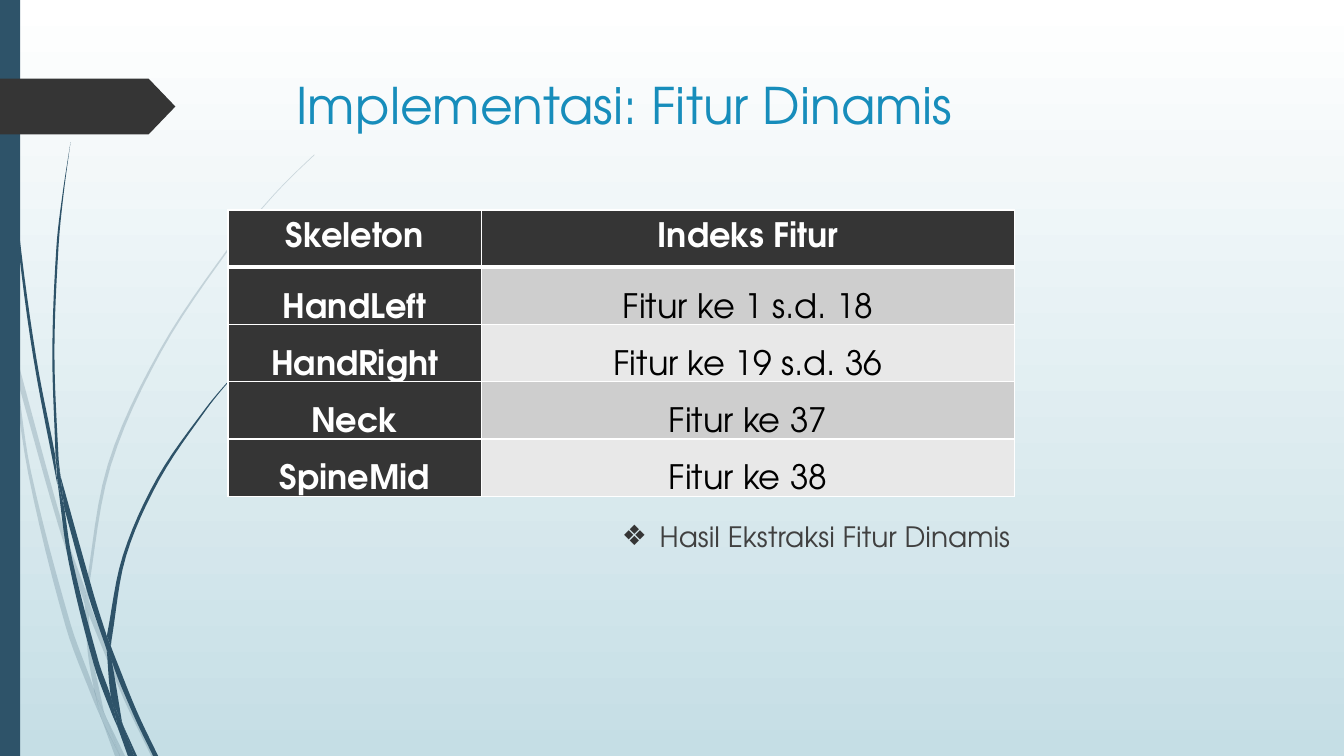
from dataclasses import dataclass
from math import dist

from lxml.etree import SubElement
from pptx import Presentation
from pptx.dml.color import RGBColor
from pptx.enum.shapes import MSO_SHAPE as Preset
from pptx.enum.text import MSO_ANCHOR as Anchor, MSO_AUTO_SIZE as AutoSize, PP_ALIGN as Align
from pptx.oxml.ns import qn
from pptx.util import Pt

FONT = "TeX Gyre Adventor"
WHITE = RGBColor(0xFF, 0xFF, 0xFF)
BLACK = RGBColor(0x00, 0x00, 0x00)
MIST = RGBColor(0xC5, 0xDE, 0xE5)
NAVY = RGBColor(0x2E, 0x53, 0x69)
CHARCOAL = RGBColor(0x35, 0x35, 0x35)
SKY = RGBColor(0x17, 0x8D, 0xBB)
SLATE = RGBColor(0x40, 0x40, 0x40)
BANDS = (RGBColor(0xCE, 0xCE, 0xCE), RGBColor(0xE8, 0xE8, 0xE8))
WIDTH, HEIGHT = 960, 540
CURVE_STEPS = 6

Point = tuple[float, float]
Side = tuple[Point, ...]


@dataclass(frozen=True)
class Blade:
    left: Side
    right: Side = ()


@dataclass(frozen=True)
class Feature:
    skeleton: str
    index: str


PALE_GRASS = (
    Blade(((7.9, 252), (6.5, 231.8), (0, 203)), ((0, 215.3), (7.2, 247.7))),
    Blade(((12.2, 270.7), (41.8, 375.8), (60.5, 431.3)),
          ((61.2, 421.9), (44.6, 374.4), (10.1, 248.4))),
    Blade(((63.4, 439.2), (88.6, 499.7), (108, 540)),
          ((111.6, 540), (91.4, 498.2), (66.2, 437), (63.4, 429.1))),
    Blade(((85.7, 540), (89.3, 540)), ((75.6, 511.9),)),
    Blade(((7.9, 252), (20.2, 338.4), (46.8, 447.1), (66.2, 499), (72.7, 514.1)),
          ((71.3, 509), (67, 491.8), (50.4, 445.7), (22.3, 337.7), (12.2, 270.7))),
    Blade(((60.5, 431.3), (62.6, 465.1), (67, 491.8), (69.1, 498.2), (75.6, 511.9)),
          ((74.2, 508.3), (65.5, 465.1), (63.4, 439.2))),
    Blade(((63.4, 429.1), (63.4, 420.5), (79.2, 332.6), (115.2, 251.3), (164.9, 176.4),
           (193, 142.6), (208.8, 126), (224.6, 110.9)),
          ((224.6, 110.2), (208.1, 126), (193, 141.8), (164.2, 175.7), (113.8, 250.6),
           (77, 331.9), (61.2, 420.5))),
    Blade(((72.7, 514.1), (82.1, 540)), ((85.7, 540),)),
    Blade(((63.4, 439.2), (63.4, 429.1)), ((61.2, 421.9), (60.5, 431.3))),
    Blade(((67, 491.8), (71.3, 509), (72.7, 514.1), (85.7, 540)),
          ((75.6, 511.9), (69.1, 498.2))),
)
DARK_GRASS = (
    Blade(((2.2, 0), (2.9, 34.6), (5, 79.2), (12.2, 167.8), (23.8, 255.6), (41, 346.3)),
          ((39.6, 329), (39.6, 326.2), (25.9, 255.6), (13.7, 167), (5.8, 78.5),
           (3.6, 34.6), (2.9, 0))),
    Blade(((46.1, 363.6), (63.4, 426.2), (76.3, 464.4)),
          ((76.3, 454.3), (67, 424.8), (43.2, 339.8))),
    Blade(((79.2, 461.5), (79.9, 472.3), (95, 509.8), (109.4, 540)),
          ((113, 540), (97.9, 508.3), (81.4, 467.3))),
    Blade(((41, 343.4), (49, 401), (67, 474.5), (79.9, 509.8), (84.2, 519.8)),
          ((83.5, 516.2), (79.2, 497.5), (70.6, 473), (51.8, 400.3), (46.1, 363.6))),
    Blade(((43.2, 339.8), (41.8, 326.2), (38.9, 251.3), (41.8, 176.4), (45.4, 139),
           (50.4, 101.5)),
          ((50.4, 101.5), (44.6, 139), (40.3, 176.4), (37.4, 251.3), (39.6, 323.3))),
    Blade(((95.8, 540), (97.9, 540)), ((87.8, 517.7),)),
    Blade(((41, 343.4), (46.1, 363.6)), ((43.2, 339.8), (39.6, 323.3))),
    Blade(((79.2, 461.5), (79.9, 455.8), (90, 397.4), (113.8, 342.7), (147.6, 292.3),
           (166.3, 269.3), (176.4, 258.5), (187.9, 247.7)),
          ((187.2, 247.7), (176.4, 257.8), (166.3, 268.6), (146.9, 291.6),
           (112.3, 341.3), (87.8, 396.7), (76.3, 454.3))),
    Blade(((84.2, 519.8), (91.4, 540)), ((94.3, 540),)),
    Blade(((76.3, 464.4), (79.2, 497.5), (83.5, 508.3), (87.8, 517.7)),
          ((87.1, 515.5), (79.9, 472.3), (78.5, 468.7))),
    Blade(((76.3, 464.4), (79.9, 472.3)), ((79.2, 461.5), (76.3, 454.3))),
    Blade(((79.2, 497.5), (83.5, 516.2), (84.2, 519.8), (93.6, 540)),
          ((95.8, 540), (87.8, 517.7), (83.5, 508.3))),
)
FEATURES = (
    Feature("Skeleton", "Indeks Fitur"),
    Feature("HandLeft", "Fitur ke 1 s.d. 18"),
    Feature("HandRight", "Fitur ke 19 s.d. 36"),
    Feature("Neck", "Fitur ke 37"),
    Feature("SpineMid", "Fitur ke 38"),
)


def smooth(side: Side) -> list[Point]:
    if len(side) < 3:
        return list(side)
    headings = []
    for i, knot in enumerate(side):
        before, after = side[max(i - 1, 0)], side[min(i + 1, len(side) - 1)]
        span = dist(before, knot) + dist(knot, after)
        headings.append(tuple((b - a) / span for a, b in zip(before, after)))
    curve = [side[0]]
    for i, (start, end) in enumerate(zip(side, side[1:])):
        length = dist(start, end)
        for step in range(1, CURVE_STEPS + 1):
            t = step / CURVE_STEPS
            curve.append(tuple(
                (2 * t**3 - 3 * t**2 + 1) * a + (3 * t**2 - 2 * t**3) * b
                + length * ((t**3 - 2 * t**2 + t) * u + (t**3 - t**2) * v)
                for a, b, u, v in zip(start, end, headings[i], headings[i + 1])))
    return curve


def paint(shape, color: RGBColor, opacity: int = 100) -> None:
    shape.shadow.inherit = False
    shape.fill.solid()
    shape.fill.fore_color.rgb = color
    shape.line.fill.background()
    if opacity < 100:
        tint = shape.fill._xPr.find(qn("a:solidFill"))[0]
        SubElement(tint, qn("a:alpha"), val=str(opacity * 1000))


def draw_blade(slide, blade: Blade, opacity: int) -> None:
    outline = [(Pt(x), Pt(y)) for x, y in smooth(blade.left) + smooth(blade.right)]
    builder = slide.shapes.build_freeform(*outline[0])
    builder.add_line_segments(outline[1:], close=True)
    paint(builder.convert_to_shape(), NAVY, opacity)


def write(frame, text: str, *, size: float, color: RGBColor, bold: bool = False,
          align: Align = Align.LEFT, before: float = 0):
    paragraph = frame.paragraphs[0]
    paragraph.alignment = align
    paragraph.space_before = Pt(before)
    run = paragraph.add_run()
    run.text = text
    run.font.name = FONT
    run.font.size = Pt(size)
    run.font.bold = bold
    run.font.color.rgb = color
    return paragraph


def place(holder, left: float, top: float, width: float, height: float):
    holder.left, holder.top, holder.width, holder.height = map(Pt, (left, top, width, height))
    frame = holder.text_frame
    frame.word_wrap = True
    frame.auto_size = AutoSize.NONE
    frame.vertical_anchor = Anchor.TOP
    return frame


def add_bullet(paragraph, symbol: str, color: RGBColor, indent: float) -> None:
    props = paragraph._p.get_or_add_pPr()
    props.set("marL", str(Pt(indent)))
    props.set("indent", str(-Pt(indent)))
    SubElement(SubElement(props, qn("a:buClr")), qn("a:srgbClr"), val=str(color))
    SubElement(props, qn("a:buChar"), char=symbol)


def add_borders(cell, bottom: float) -> None:
    props = cell._tc.get_or_add_tcPr()
    for i, (edge, width) in enumerate((("L", 1), ("R", 1), ("T", 1), ("B", bottom))):
        border = props.makeelement(qn(f"a:ln{edge}"), {"w": str(Pt(width))})
        SubElement(SubElement(border, qn("a:solidFill")), qn("a:srgbClr"), val=str(WHITE))
        props.insert(i, border)


def add_features(slide) -> None:
    grid = slide.shapes.add_table(len(FEATURES), 2, Pt(162.9), Pt(150), Pt(562), Pt(204.5)).table
    grid.columns[0].width, grid.columns[1].width = Pt(181), Pt(381)
    for r, feature in enumerate(FEATURES):
        grid.rows[r].height = Pt(40.9)
        for c, text in enumerate((feature.skeleton, feature.index)):
            cell = grid.cell(r, c)
            heading = r == 0 or c == 0
            cell.margin_left = cell.margin_right = Pt(5)
            cell.margin_top = cell.margin_bottom = Pt(0)
            cell.vertical_anchor = Anchor.BOTTOM if r else Anchor.MIDDLE
            cell.fill.solid()
            cell.fill.fore_color.rgb = CHARCOAL if heading else BANDS[(r - 1) % 2]
            add_borders(cell, bottom=1 if r else 3)
            write(cell.text_frame, text, size=24, color=WHITE if heading else BLACK,
                  bold=heading, align=Align.CENTER)


def main() -> None:
    deck = Presentation()
    deck.slide_width, deck.slide_height = Pt(WIDTH), Pt(HEIGHT)
    slide = deck.slides.add_slide(deck.slide_layouts[1])
    sky = slide.background.fill
    sky.gradient()
    sky.gradient_angle = 270
    for stop, color, position in zip(sky.gradient_stops, (WHITE, MIST), (0, 1)):
        stop.color.rgb = color
        stop.position = position
    for grass, opacity in ((PALE_GRASS, 20), (DARK_GRASS, 100)):
        for blade in grass:
            draw_blade(slide, blade, opacity)
    paint(slide.shapes.add_shape(Preset.RECTANGLE, 0, 0, Pt(14.4), Pt(HEIGHT)), NAVY)
    pointer = slide.shapes.add_shape(Preset.PENTAGON, 0, Pt(56.2), Pt(125.3), Pt(39.8))
    pointer.adjustments[0] = 0.48
    paint(pointer, CHARCOAL)
    title, caption = slide.placeholders
    write(place(title, 204.5, 49, 702, 100.8), "Implementasi: Fitur Dinamis", size=36, color=SKY)
    add_features(slide)
    result = write(place(caption, 437, 367.2, 298.8, 53.3), "Hasil Ekstraksi Fitur Dinamis",
                   size=20, color=SLATE, before=10)
    add_bullet(result, "❖", CHARCOAL, 27)
    deck.save("out.pptx")


if __name__ == "__main__":
    main()
